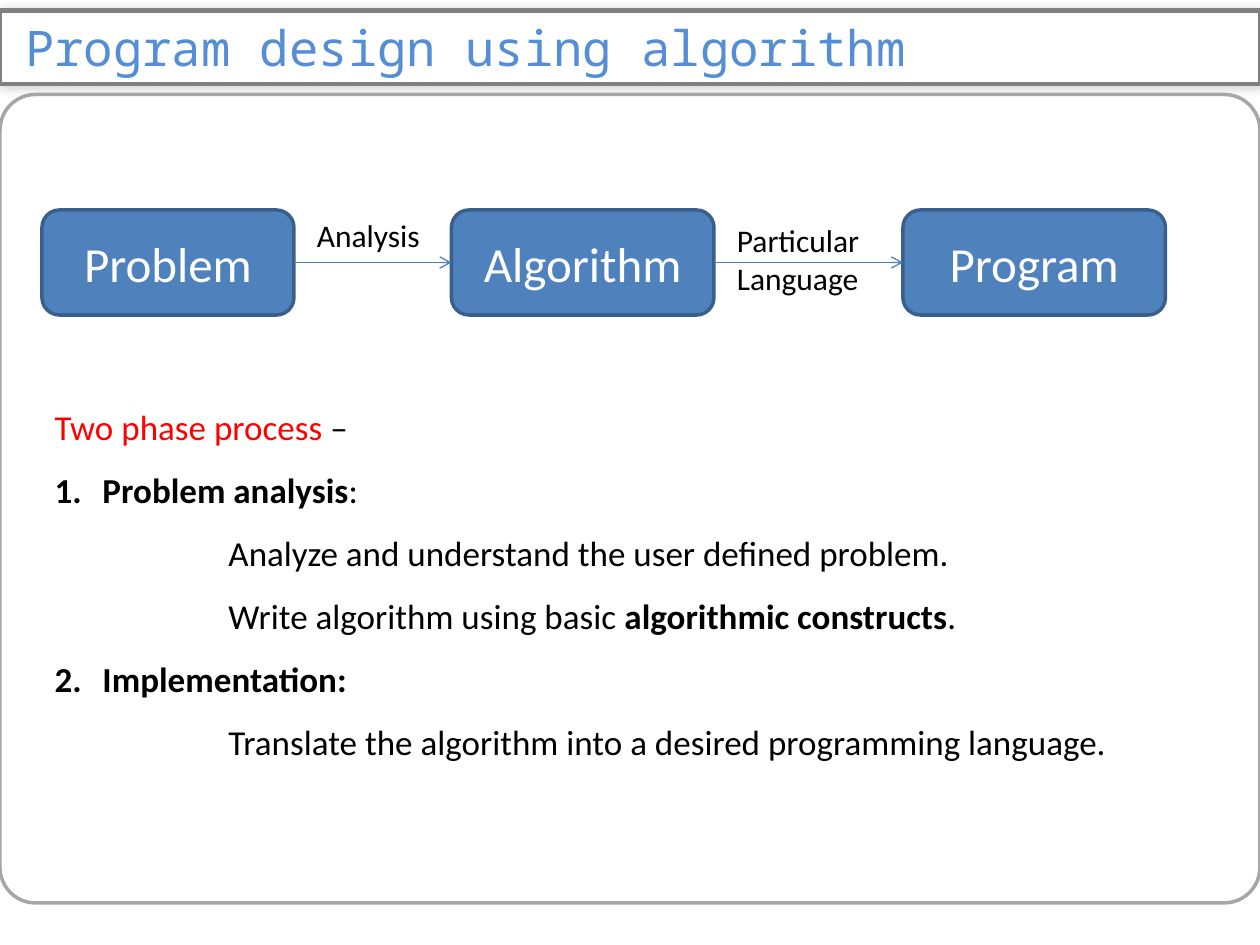
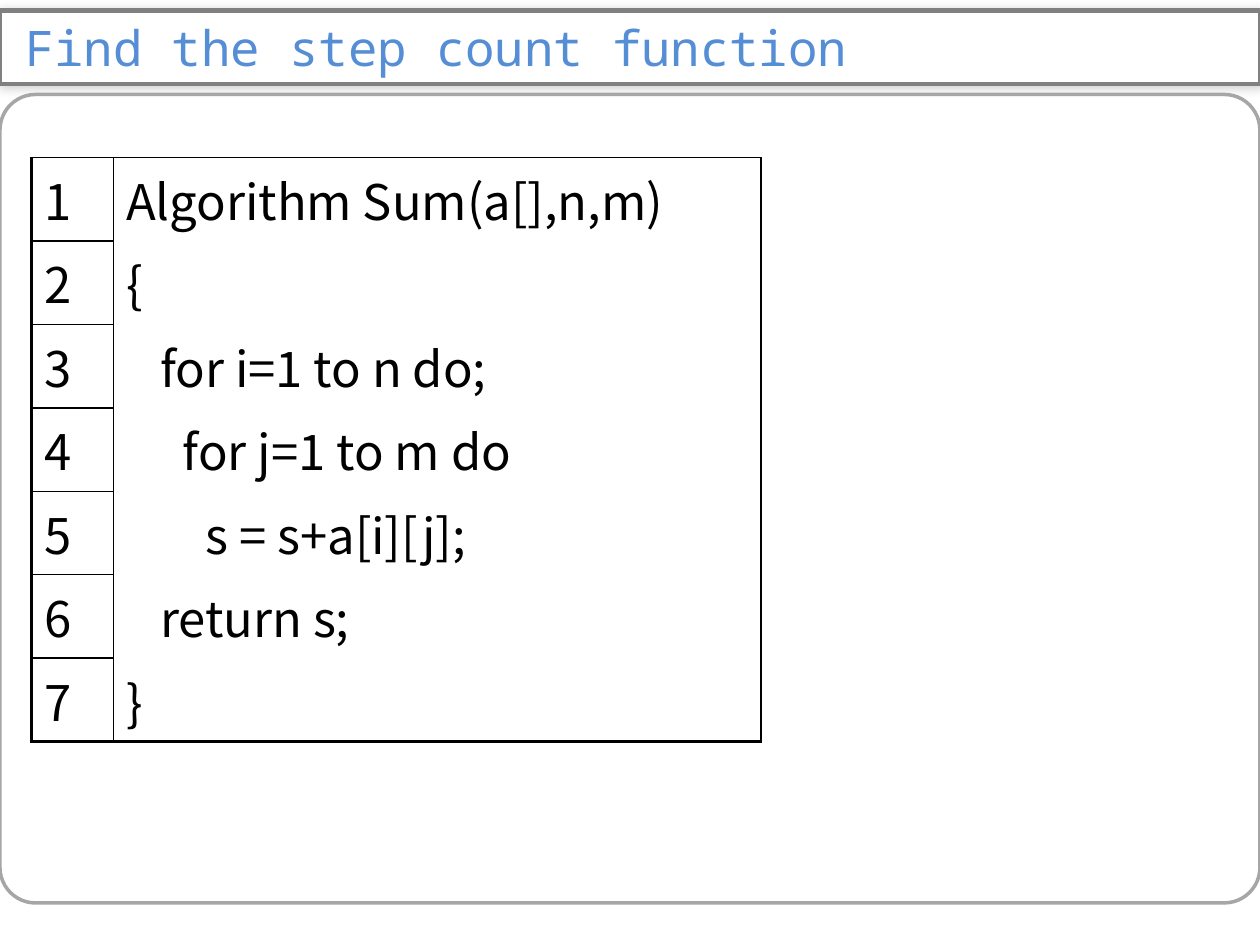
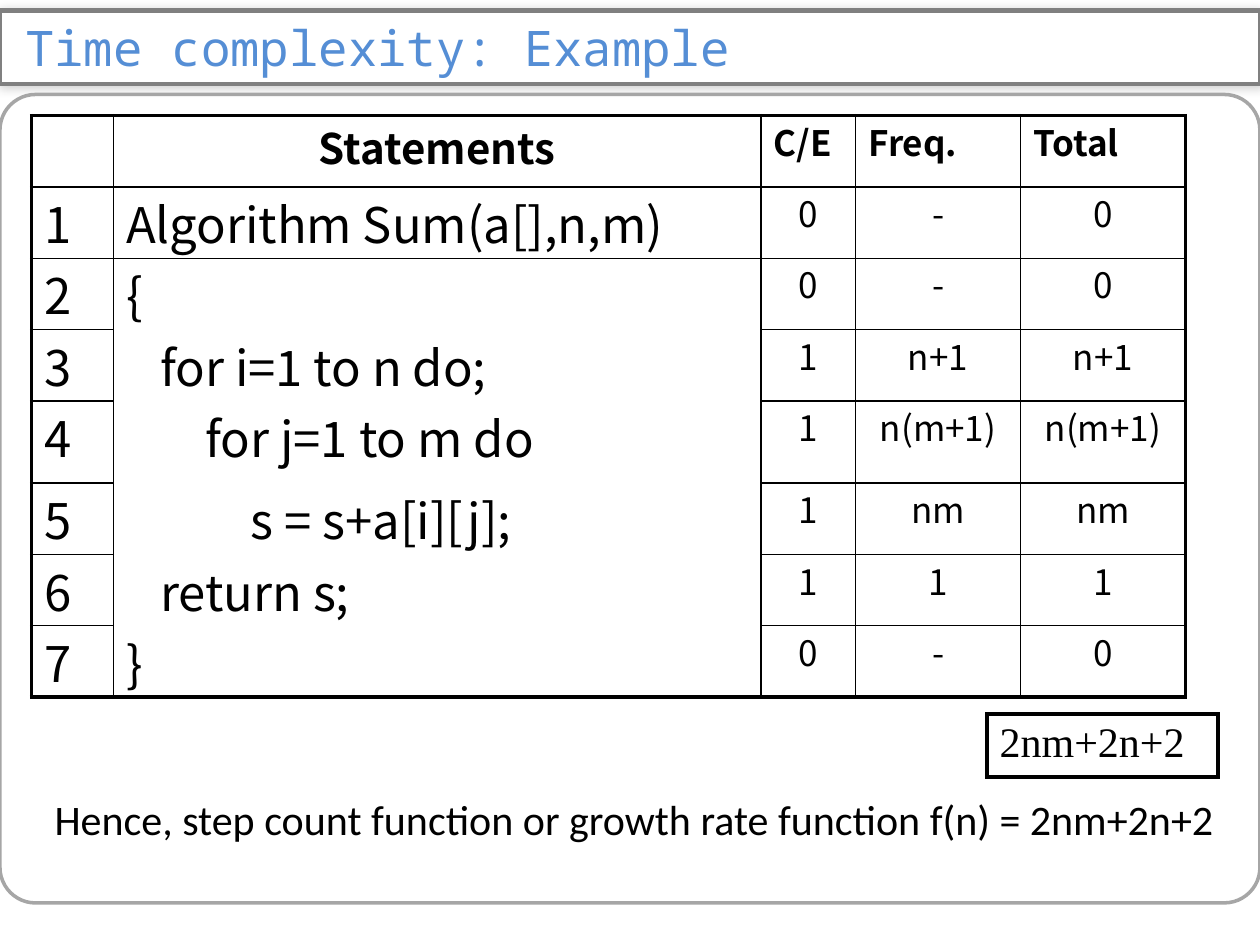
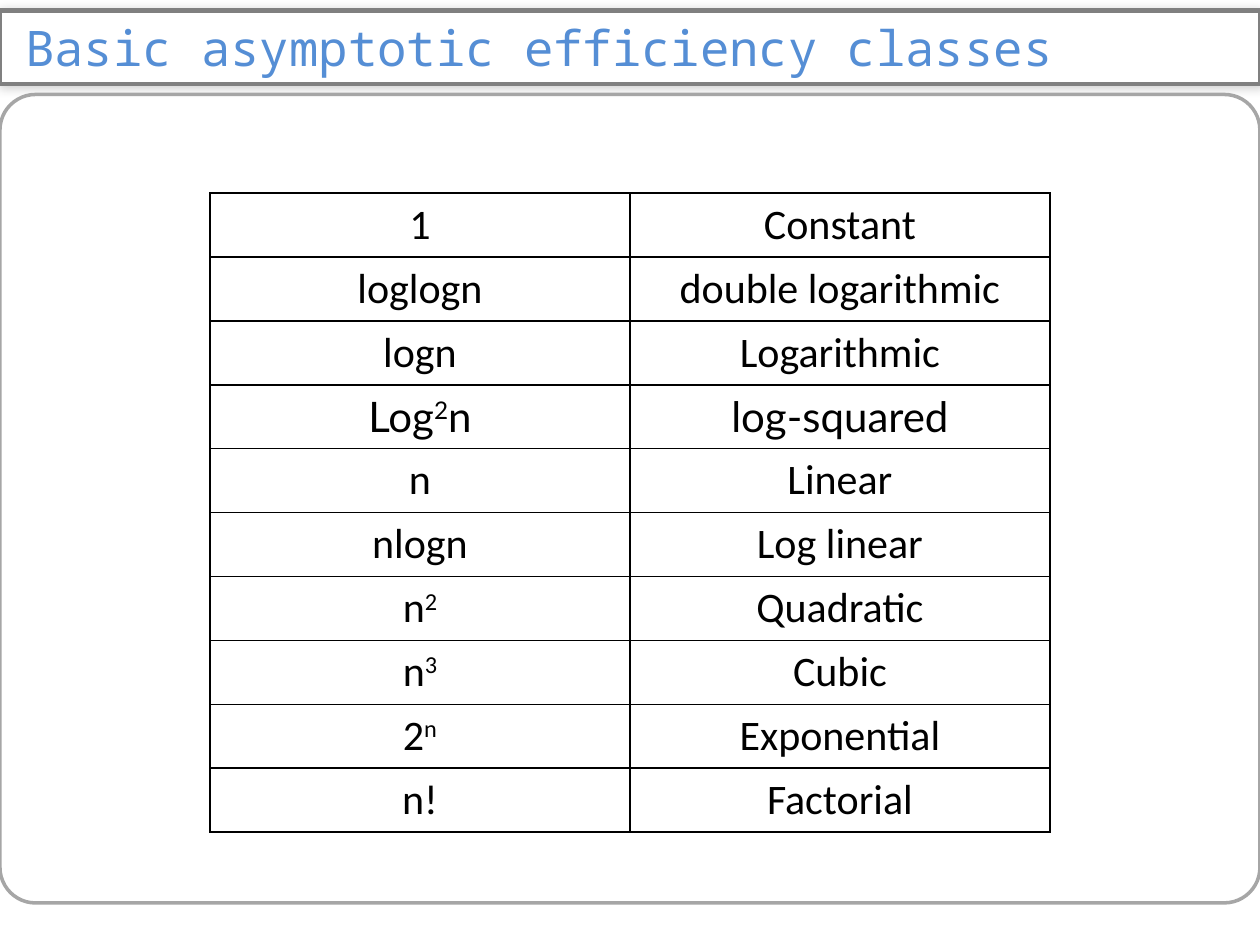
from collections import namedtuple
from lxml import etree
from pptx import Presentation
from pptx.dml.color import RGBColor
from pptx.enum.shapes import MSO_CONNECTOR as CONN, MSO_SHAPE as SHAPE
from pptx.enum.text import MSO_ANCHOR as ANCHOR, MSO_AUTO_SIZE as FIT, PP_ALIGN as ALIGN
from pptx.oxml import parse_xml
from pptx.oxml.ns import nsdecls, qn
from pptx.util import Inches, Pt

COLS, ROWS = 120, 90
WIDTH, HEIGHT = Inches(10), Inches(7.5)
UNIT = WIDTH // COLS
CODE_SPACE = 0.09
NO_GRID = "{2D5ABB26-0587-4C30-8999-92F81FD0307C}"

TITLE = {"size": Pt(28), "name": "Noto Sans Mono"}
STEP = {"size": Pt(28), "name": "Calibri"}
LABEL = {"size": Pt(18), "name": "Calibri"}
BODY = {"size": Pt(20), "name": "Calibri", "bold": False}
CLASSES = {"size": Pt(24), "name": "Calibri"}
SQUARED = {"size": Pt(24), "name": "Lato"}
RESULT = {"size": Pt(24), "name": "Times New Roman"}
CODE = {"size": Pt(28), "name": "Noto Sans CJK SC"}
COUNT = {"size": Pt(20), "name": "Noto Sans CJK SC"}
HEAD = {"size": Pt(20), "name": "Noto Sans CJK SC", "bold": True}
TOP_HEAD = {**HEAD, "size": Pt(24)}
NO_PAD = {"margin_top": 0, "margin_bottom": 0}

STATEMENTS = ["Algorithm Sum(a[],n,m)", "{", "for i=1 to n do;", "for j=1 to m do",
              "s = s+a[i][j];", "return s;", "}"]
COUNTS = [("0", "-", "0"), ("0", "-", "0"), ("1", "n+1", "n+1"),
          ("1", "n(m+1)", "n(m+1)"), ("1", "nm", "nm"), ("1", "1", "1"), ("0", "-", "0")]
EFFICIENCY = [("1", "Constant"), ("loglogn", "double logarithmic"), ("logn", "Logarithmic"),
              ("Log^2^n", "log-squared"), ("n", "Linear"), ("nlogn", "Log linear"),
              ("n^2", "Quadratic"), ("n^3", "Cubic"), ("2^n", "Exponential"),
              ("n!", "Factorial")]
PHASES = [
    (None, [("Two phase process ", "FF0000", False), ("–", "000000", False)]),
    (1, [("Problem analysis", "000000", True), (":", "000000", False)]),
    (0, [("Analyze and understand the user defined problem.", "000000", False)]),
    (0, [("Write algorithm using basic ", "000000", False),
         ("algorithmic constructs", "000000", True), (".", "000000", False)]),
    (2, [("Implementation:", "000000", True)]),
    (0, [("Translate the algorithm into a desired programming language.", "000000", False)]),
]


class Box(namedtuple("Box", "col row width height")):
    def inner(self, col, row, width, height):
        return Box(self.col + col, self.row + row, width, height)

    def emu(self):
        return [int(v * UNIT) for v in self]


PAGE = Box(0, 0, COLS, ROWS)


def rgb(value):
    return RGBColor.from_string(value)


def put(obj, values):
    for name, value in values.items():
        setattr(obj, name, value)


def place(sp, box):
    put(sp, dict(zip(("left", "top", "width", "height"), box.emu())))


def add_run(p, text, fmt, color="000000"):
    r = p.add_run()
    r.text = text
    put(r.font, fmt)
    r.font.color.rgb = rgb(color)
    return r


def indent(p, margin, hanging=0):
    pPr = p._p.get_or_add_pPr()
    pPr.set("marL", str(Inches(margin)))
    pPr.set("indent", str(-Inches(hanging)))
    return pPr


def outline(sp, color, width):
    sp.line.color.rgb = rgb(color)
    sp.line.width = Pt(width)


def add_box(s, box, color, width, fill=None, adj=None):
    sp = s.shapes.add_shape(SHAPE.ROUNDED_RECTANGLE, *box.emu())
    sp.shadow.inherit = False
    outline(sp, color, width)
    if fill:
        sp.fill.solid()
        sp.fill.fore_color.rgb = rgb(fill)
    else:
        sp.fill.background()
    if adj:
        sp.adjustments[0] = adj
    return sp


def add_slide(prs, title, layout=5):
    s = prs.slides.add_slide(prs.slide_layouts[layout])
    add_box(s, PAGE.inner(0, 9, COLS, 77), "A6A6A6", 2, adj=0.044)
    title_band(s.shapes.title, title, PAGE.inner(0, 1, COLS, 7))
    return s


def title_band(sp, text, box):
    place(sp, box)
    sp._element.spPr.append(parse_xml(
        f'<a:prstGeom {nsdecls("a")} prst="roundRect"><a:avLst>'
        '<a:gd name="adj" fmla="val 40900"/></a:avLst></a:prstGeom>'))
    sp.fill.solid()
    sp.fill.fore_color.rgb = rgb("FFFFFF")
    outline(sp, "808080", 2.5)
    sp._element.spPr.append(parse_xml(
        f'<a:effectLst {nsdecls("a")}><a:outerShdw blurRad="76200" dist="12700" '
        'dir="2700000"><a:srgbClr val="000000"><a:alpha val="20000"/></a:srgbClr>'
        '</a:outerShdw></a:effectLst>'))
    tf = sp.text_frame
    put(tf, {"margin_left": Inches(0.2), "margin_right": Inches(0.1), **NO_PAD,
             "vertical_anchor": ANCHOR.MIDDLE, "auto_size": FIT.NONE, "word_wrap": True})
    p = tf.paragraphs[0]
    p.alignment = ALIGN.LEFT
    add_run(p, text, TITLE, "558ED5")


def add_arrow(s, start, end):
    line = s.shapes.add_connector(CONN.STRAIGHT, 0, 0, 0, 0)
    line.begin_connect(start, 3)
    line.end_connect(end, 1)
    outline(line, "4B7EBC", 0.75)
    etree.SubElement(line.line._get_or_add_ln(), qn("a:tailEnd"), type="arrow")
    etree.SubElement(line._element.spPr, qn("a:effectLst"))


def flow(s, box):
    steps = []
    for text, col, width in (("Problem", 0, 24), ("Algorithm", 39, 25), ("Program", 82, 25)):
        sp = add_box(s, box.inner(col, 0, width, box.height), "3A5F8C", 2, "4F81BD")
        p = sp.text_frame.paragraphs[0]
        p.alignment = ALIGN.CENTER
        add_run(p, text, STEP, "FFFFFF")
        steps.append(sp)
    for start, end in zip(steps, steps[1:]):
        add_arrow(s, start, end)
    for text, area in (("Analysis", (25, 0, 13, 4.8)),
                       ("Particular Language", (65, 0.5, 19, 8.5))):
        tf = s.shapes.add_textbox(*box.inner(*area).emu()).text_frame
        tf.word_wrap = True
        add_run(tf.paragraphs[0], text, LABEL)


def body_frame(s, box):
    sp = s.placeholders[1]
    place(sp, box)
    tf = sp.text_frame
    put(tf, {"auto_size": FIT.NONE, "word_wrap": True, "vertical_anchor": ANCHOR.TOP})
    return tf


def plain(p, margin=0, hanging=0, number=None):
    p.space_before = Pt(0)
    pPr = indent(p, margin, hanging)
    if number:
        etree.SubElement(pPr, qn("a:buFont"), typeface="+mj-lt")
        etree.SubElement(pPr, qn("a:buAutoNum"), type="arabicPeriod", startAt=str(number))
    else:
        etree.SubElement(pPr, qn("a:buNone"))


def phase_list(s, box):
    tf = body_frame(s, box)
    for i, (number, runs) in enumerate(PHASES):
        p = tf.add_paragraph() if i else tf.paragraphs[0]
        p.line_spacing = 1.5
        if number:
            plain(p, 0.38, 0.38, number)
        else:
            plain(p, 0 if number is None else 1.38)
        for text, color, bold in runs:
            add_run(p, text, {**BODY, "bold": bold}, color)


def conclusion(s, box, text):
    p = body_frame(s, box).paragraphs[0]
    plain(p)
    add_run(p, text, CLASSES)


def add_grid(s, box, widths, heights):
    shape = s.shapes.add_table(len(heights), len(widths), *box.emu())
    table = shape.table
    table._tbl.tblPr.find(qn("a:tableStyleId")).text = NO_GRID
    put(table, {"first_row": False, "horz_banding": False})
    for col, width in zip(table.columns, widths):
        col.width = int(width * UNIT)
    for row, height in zip(table.rows, heights):
        row.height = int(height * UNIT)
    return table


def rule(table, outer, open_col=None, open_from=0):
    last_r, last_c = len(table.rows) - 1, len(table.columns) - 1
    left, top, right, bottom = outer
    for r in range(last_r + 1):
        for c in range(last_c + 1):
            is_open = c == open_col
            widths = {
                "lnL": left if c == 0 else 1,
                "lnR": right if c == last_c else 1,
                "lnT": top if r == 0 else 0 if is_open and r > open_from else 1,
                "lnB": bottom if r == last_r else 0 if is_open and r >= open_from else 1,
            }
            cell = table.cell(r, c)
            tcPr = cell._tc.get_or_add_tcPr()
            for tag, width in widths.items():
                if width:
                    ln = etree.SubElement(tcPr, qn("a:" + tag), w=str(Pt(width)))
                    fill = etree.SubElement(ln, qn("a:solidFill"))
                    etree.SubElement(fill, qn("a:srgbClr"), val="000000")
            cell.fill.background()


def write_cell(cell, text, fmt, align=ALIGN.LEFT, spaces=0, before=0.2):
    p = cell.text_frame.paragraphs[0]
    put(p, {"alignment": align, "space_before": int(fmt["size"] * before)})
    if spaces:
        indent(p, spaces * CODE_SPACE)
    for i, piece in enumerate(text.split("^")):
        r = add_run(p, piece, fmt)
        if i % 2:
            r.font._element.set("baseline", "30000")


def write_code(table, first, spaces):
    for i, (text, gap) in enumerate(zip(STATEMENTS, spaces)):
        write_cell(table.cell(first + i, 0), str(i + 1), CODE)
        write_cell(table.cell(first + i, 1), text, CODE, spaces=gap)


def code_table(s, box):
    table = add_grid(s, box, [7.8, 61.7], [box.height / 7] * 7)
    rule(table, (2.25, 1, 1, 2.25), open_col=1)
    write_code(table, 0, [0, 0, 3, 5, 7, 3, 0])


def count_table(s, box):
    heights = [6.8] * 4 + [7.8] + [6.8] * 3
    table = add_grid(s, box, [7.8, 61.7, 9, 15.7, 15.7], heights)
    rule(table, (2.25,) * 4, open_col=1, open_from=1)
    for cell in table.iter_cells():
        put(cell, NO_PAD)
    write_cell(table.cell(0, 1), "Statements", TOP_HEAD, ALIGN.CENTER)
    for c, text in enumerate(("C/E", "Freq.", "Total"), 2):
        write_cell(table.cell(0, c), text, HEAD)
    write_code(table, 1, [0, 0, 3, 7, 11, 3, 0])
    for r, counts in enumerate(COUNTS, 1):
        for c, text in enumerate(counts, 2):
            write_cell(table.cell(r, c), text, COUNT, ALIGN.CENTER)


def result_box(s, box):
    table = add_grid(s, box, [box.width], [box.height])
    rule(table, (2.25,) * 4)
    write_cell(table.cell(0, 0), "2nm+2n+2", RESULT)


def class_table(s, box):
    n = len(EFFICIENCY)
    table = add_grid(s, box, [box.width / 2] * 2, [box.height / n] * n)
    rule(table, (1,) * 4)
    for r, pair in enumerate(EFFICIENCY):
        fmt = SQUARED if pair[1] == "log-squared" else CLASSES
        for c, text in enumerate(pair):
            write_cell(table.cell(r, c), text, fmt, ALIGN.CENTER, before=0)


def main():
    prs = Presentation()
    put(prs, {"slide_width": WIDTH, "slide_height": HEIGHT})

    s = add_slide(prs, "Program design using algorithm", 1)
    flow(s, PAGE.inner(4, 20, 107, 10))
    phase_list(s, PAGE.inner(4, 36, 113, 43.7))

    s = add_slide(prs, "Find the step count function")
    code_table(s, PAGE.inner(3, 15, 69.5, 55.6))

    s = add_slide(prs, "Time complexity: Example", 1)
    conclusion(s, PAGE.inner(4, 75, 116, 10.9),
               "Hence, step count function or growth rate function f(n) = 2nm+2n+2")
    count_table(s, PAGE.inner(3, 11, 109.9, 55.4))
    result_box(s, PAGE.inner(94, 68, 22, 6))

    s = add_slide(prs, "Basic asymptotic efficiency classes")
    class_table(s, PAGE.inner(20, 18.4, 80, 60.8))

    prs.save("out.pptx")


if __name__ == "__main__":
    main()
